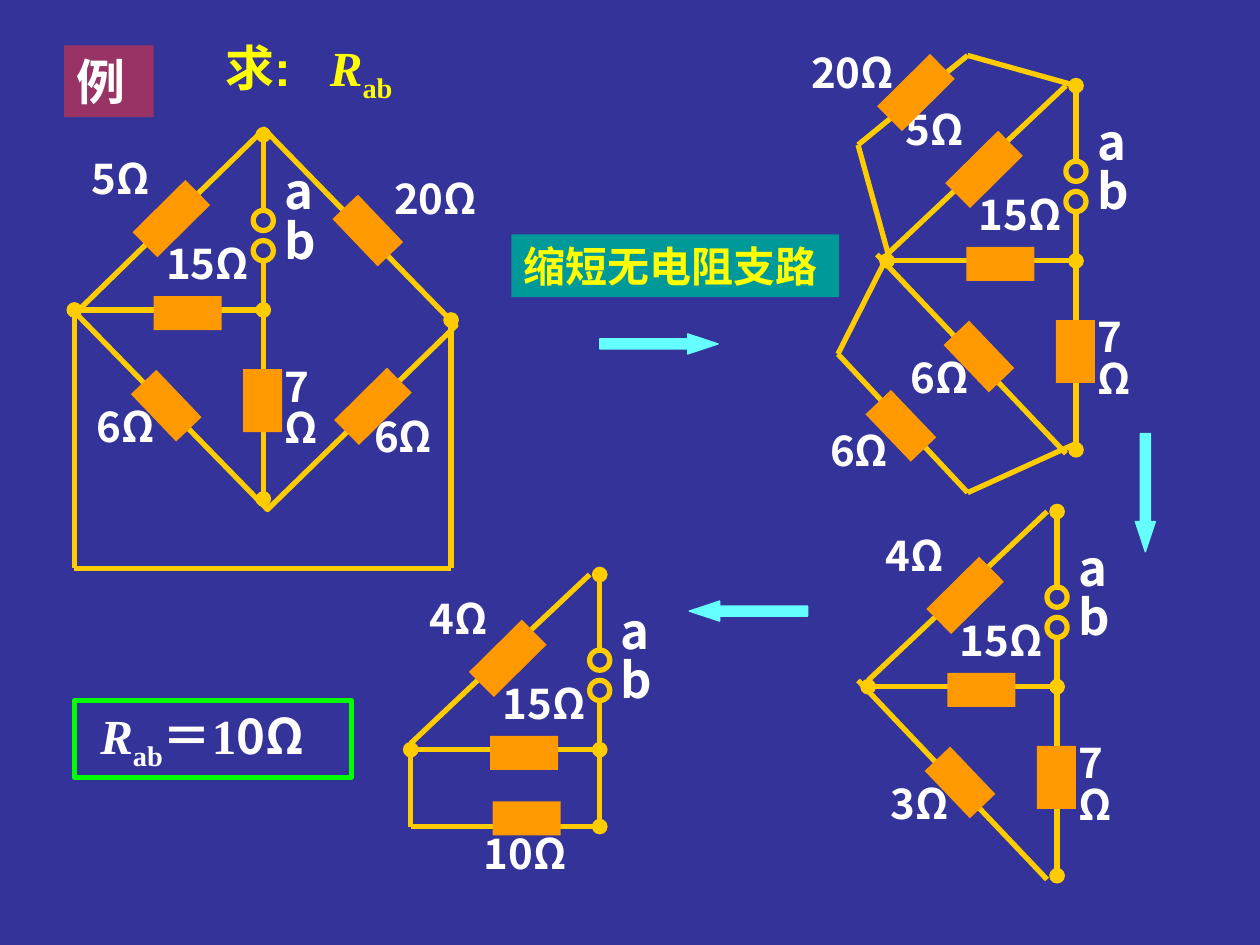
"""Build the slide that reduces a resistor network step by step to find R_ab."""
from lxml import etree
from pptx import Presentation, util as u
from pptx.dml.color import RGBColor
from pptx.enum import shapes as kinds, text
from pptx.oxml.ns import qn

NAVY = RGBColor(0x33, 0x33, 0x99)
WIRE = RGBColor(0xFF, 0xCC, 0x00)
ORANGE = RGBColor(0xFF, 0x99, 0x00)
CYAN = RGBColor(0x66, 0xFF, 0xFF)
PLUM = RGBColor(0x99, 0x33, 0x66)
TEAL = RGBColor(0x00, 0x99, 0x99)
GREEN = RGBColor(0x00, 0xFF, 0x00)
WHITE = RGBColor(0xFF, 0xFF, 0xFF)
YELLOW = RGBColor(0xFF, 0xFF, 0x00)
SANS, SERIF, PLAIN = "Noto Sans CJK SC", "Times New Roman", "Arial"

RESISTORS = {"rising": (0.28, 0.59, 45.3), "falling": (0.28, 0.52, 316.3),
             "flat": (0.54, 0.27, 0), "tall": (0.31, 0.5, 0)}
TERMINALS = [(-0.08, 0.6), (-0.08, 0.84)]
LEFT_NODE = (-1.5, 1.39)

BASE = {
    "wires": [(0, 0, 0, 0.6, "head"), (*LEFT_NODE, 0, 1.39, "head tail")],
    "labels": [("15Ω", -0.87, 0.81, 0.94, 24), ("b", 0.07, 0.6, 0.39, 28),
               ("a", 0.07, 0.21, 0.39, 28)],
    "resistors": [("rising", -0.87, 0.37), ("flat", -0.87, 1.28)],
}
SEVEN_OHM = {
    "wires": [(0, 1, 0, 2.89, "tail")],
    "labels": [("7Ω", 0.07, 1.78, 0.63, 24)],
    "resistors": [("tall", -0.16, 1.86), ("falling", -0.91, 1.89)],
}
UPPER_DIAGONAL = {"wires": [(-1.5, 1.34, -0.08, 0, "")]}
LOWER_DIAGONAL = {"wires": [(-1.58, 1.34, -0.08, 2.92, "")]}

FULL_NETWORK = {
    "wires": [(*LEFT_NODE, -1.5, 3.44, ""), (-1.5, 3.44, 1.49, 3.44, ""),
              (1.49, 1.47, 1.49, 3.44, "head")],
    "labels": [("5Ω", -1.46, 0.13, 0.67, 24), ("20Ω", 0.94, 0.29, 0.87, 24),
               ("6Ω", -1.42, 2.1, 0.79, 24), ("6Ω", 0.78, 2.18, 0.71, 24)],
    "resistors": [("falling", 0.69, 0.5), ("rising", 0.73, 1.86)],
    "diamond": (-1.07, 0.42, 2.18, 2.09, 45.7),
}
SHORTENED = {
    "wires": [(-1.89, 2.13, -0.86, 3.23, ""), (-1.49, 1.34, -1.89, 2.13, ""),
              (0, 2.84, -0.86, 3.23, ""), (-1.73, 0.47, -0.86, -0.24, ""),
              (-1.73, 0.47, -1.49, 1.34, ""), (-0.86, -0.24, 0, 0, "")],
    "labels": [("5Ω", -1.45, 0.13, 0.67, 24), ("20Ω", -2.2, -0.32, 0.87, 24),
               ("6Ω", -1.41, 2.1, 0.79, 24), ("6Ω", -2.05, 2.68, 0.71, 24)],
    "resistors": [("falling", -1.53, 2.44), ("rising", -1.41, -0.24)],
}
MERGED = {"labels": [("4Ω", -1.46, 0.13, 0.67, 24), ("3Ω", -1.42, 2.1, 0.79, 24)]}
FINAL = {
    "wires": [(-1.5, 1.34, -1.5, 2, ""), (0, 1, 0, 2, "tail"), (-1.5, 2, 0, 2, "")],
    "labels": [("4Ω", -1.45, 0.13, 0.67, 24), ("10Ω", -1.02, 2, 1.1, 24)],
    "resistors": [("flat", -0.85, 1.8)],
}
CIRCUITS = [
    ((2.09, 1.07), [BASE, SEVEN_OHM, FULL_NETWORK]),
    ((8.39, 4.06), [BASE, SEVEN_OHM, UPPER_DIAGONAL, LOWER_DIAGONAL, MERGED]),
    ((8.54, 0.68), [BASE, SEVEN_OHM, UPPER_DIAGONAL, LOWER_DIAGONAL, SHORTENED]),
    ((4.76, 4.56), [BASE, UPPER_DIAGONAL, FINAL]),
]
STEPS = [(4.76, 2.65, 0), (8.62, 3.83, 90), (5.47, 4.77, 180)]
R_AB = [("R", SERIF, {"italic": True}, 0), ("ab", SERIF, {}, -25000)]
PANELS = [
    ((0.51, 0.36, 0.71, 0.57), PLUM, None, WHITE, 28, [("例", SERIF, {}, 0)]),
    ((1.69, 0.28, 1.65, 0.57), None, None, YELLOW, 28, [("求:\t", PLAIN, {}, 0), *R_AB]),
    ((0.59, 5.56, 2.2, 0.61), None, GREEN, WHITE, 28,
     [(" ", PLAIN, {}, 0), *R_AB, ("＝1", SERIF, {}, 0), ("0Ω", SANS, {}, 0)]),
    ((4.06, 1.86, 2.6, 0.5), TEAL, None, YELLOW, 24, [("缩短无电阻支路", PLAIN, {}, 0)]),
]


def inches(*lengths):
    return [u.Inches(length) for length in lengths]


def add_figure(parent, preset, at, fill=None, line=None, width=3, turn=0):
    figure = parent.add_shape(preset, *inches(*at))
    figure.shadow.inherit = False
    figure.rotation = turn
    for part, colour in ((figure.fill, fill), (figure.line.fill, line)):
        if colour is None:
            part.background()
        else:
            part.solid()
            part.fore_color.rgb = colour
    if line is not None:
        figure.line.width = u.Pt(width)
    return figure


def add_wire(parent, start, end, dots):
    wire = parent.add_connector(kinds.MSO_CONNECTOR.STRAIGHT, *inches(*start, *end))
    wire.line.color.rgb = WIRE
    wire.line.width = u.Pt(3)
    outline = wire.line._get_or_add_ln()
    for dot in dots.split():
        etree.SubElement(outline, qn(f"a:{dot}End"), type="oval")
    etree.SubElement(wire._element.spPr, qn("a:effectLst"))


def write(frame, runs, size, colour, **layout):
    frame.word_wrap = True
    frame.auto_size = text.MSO_AUTO_SIZE.NONE
    for name, value in layout.items():
        setattr(frame, name, value)
    paragraph = frame.paragraphs[0]
    paragraph.alignment = text.PP_ALIGN.LEFT
    for words, family, style, baseline in runs:
        run = paragraph.add_run()
        run.text = words
        look = {"name": family, "size": u.Pt(size), "bold": True, **style}
        run.font.color.rgb = colour
        for name, value in look.items():
            setattr(run.font, name, value)
        properties = run._r.get_or_add_rPr()
        etree.SubElement(properties, qn("a:ea"), typeface=SANS)
        if baseline:
            properties.set("baseline", str(baseline))
    return paragraph


def add_circuit(parent, origin, layers):
    def place(x, y):
        return round(origin[0] + x, 2), round(origin[1] + y, 2)

    def gather(part):
        return [item for layer in layers for item in layer.get(part, [])]

    for layer in layers:
        if "diamond" in layer:
            x, y, width, height, turn = layer["diamond"]
            add_figure(parent, kinds.MSO_SHAPE.RECTANGLE, (*place(x, y), width, height),
                       line=WIRE, turn=turn)
    for x1, y1, x2, y2, dots in gather("wires"):
        add_wire(parent, place(x1, y1), place(x2, y2), dots)
    for terminal in TERMINALS:
        add_figure(parent, kinds.MSO_SHAPE.OVAL, (*place(*terminal), 0.16, 0.16), line=WIRE)
    for words, x, y, width, size in gather("labels"):
        height = 0.5 if size == 24 else 0.57
        label = parent.add_textbox(*inches(*place(x, y), width, height))
        paragraph = write(label.text_frame, [(words, SANS, {}, 0)], size, WHITE,
                          margin_top=u.Inches(0.08))
        paragraph.line_spacing = 0.82
    for kind, x, y in gather("resistors"):
        width, height, turn = RESISTORS[kind]
        add_figure(parent, kinds.MSO_SHAPE.RECTANGLE, (*place(x, y), width, height),
                   fill=ORANGE, turn=turn)


def main():
    deck = Presentation()
    deck.slide_width, deck.slide_height = inches(10, 7.5)
    slide = deck.slides.add_slide(deck.slide_layouts[6])
    slide.background.fill.solid()
    slide.background.fill.fore_color.rgb = NAVY
    for origin, layers in CIRCUITS:
        add_circuit(slide.shapes.add_group_shape().shapes, origin, layers)
    for x, y, turn in STEPS:
        step = add_figure(slide.shapes, kinds.MSO_SHAPE.RIGHT_ARROW, (x, y, 0.94, 0.16),
                          CYAN, CYAN, 0.75, turn)
        step.adjustments[0], step.adjustments[1] = 0.5, 1.51
    for at, fill, line, colour, size, runs in PANELS:
        if fill is None and line is None:
            panel = slide.shapes.add_textbox(*inches(*at))
            tabs = etree.SubElement(panel.text_frame.paragraphs[0]._p.get_or_add_pPr(),
                                    qn("a:tabLst"))
            etree.SubElement(tabs, qn("a:tab"), pos=str(u.Inches(0.83)), algn="l")
        else:
            panel = add_figure(slide.shapes, kinds.MSO_SHAPE.RECTANGLE, at, fill, line)
        write(panel.text_frame, runs, size, colour, vertical_anchor=text.MSO_ANCHOR.MIDDLE)
    deck.save("out.pptx")


if __name__ == "__main__":
    main()
